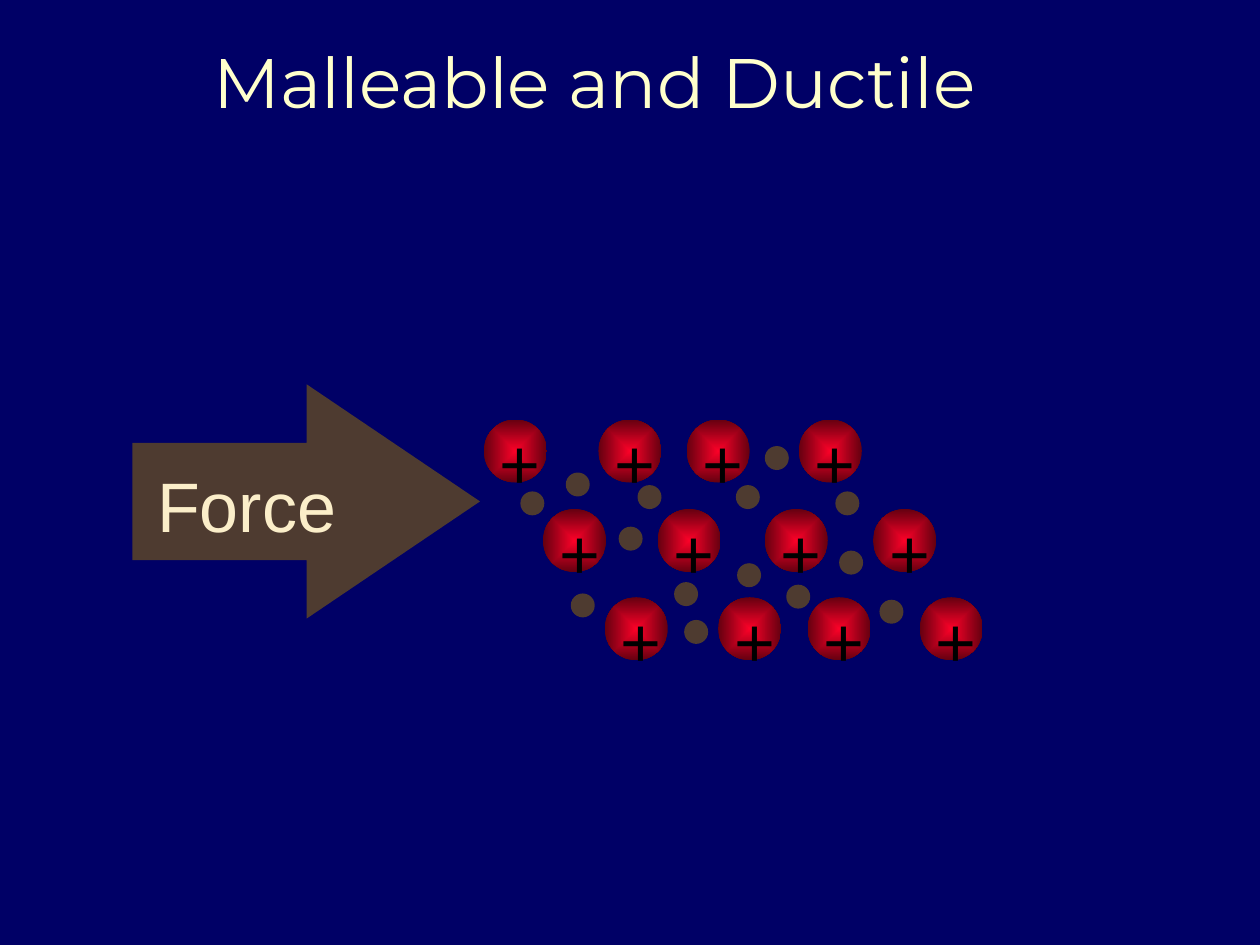
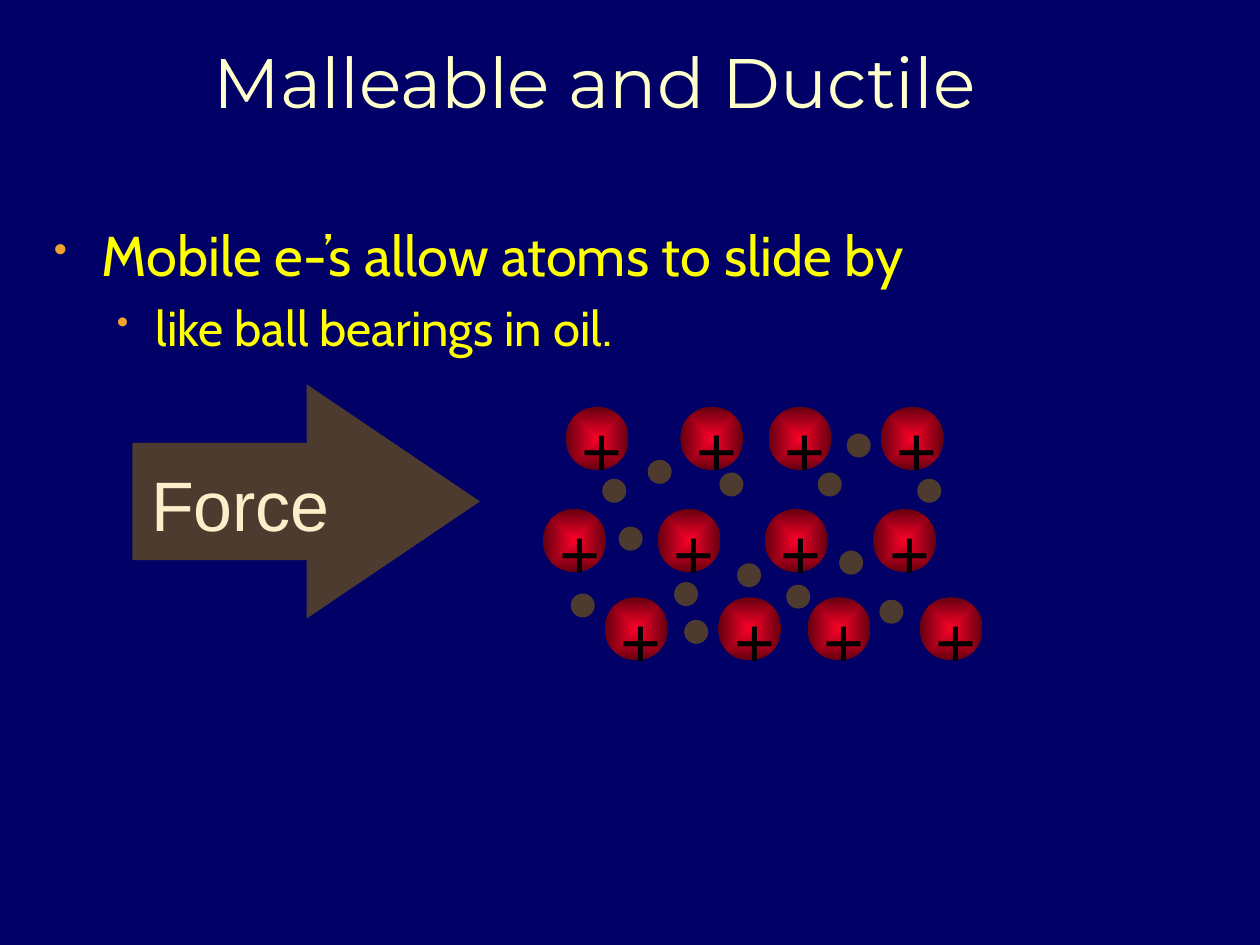
from dataclasses import dataclass

from lxml import etree
from pptx import Presentation
from pptx.dml.color import RGBColor
from pptx.enum.shapes import MSO_SHAPE as SHAPE
from pptx.enum.text import MSO_ANCHOR as ANCHOR, PP_ALIGN as ALIGN
from pptx.oxml.ns import nsdecls, qn
from pptx.util import Inches, Pt


@dataclass(frozen=True)
class Theme:
    background: str = "000066"
    title: str = "FFFFCC"
    body: str = "FFFF00"
    bullet: str = "F0A22E"
    brown: str = "4E3B30"
    force: str = "FBEEC9"
    plus: str = "000000"
    atom_core: str = "FC0128"
    atom_rim: str = "650010"
    title_font: str = "Montserrat"
    body_font: str = "Cabin"
    label_font: str = "Arial"
    large: int = 40
    body_size: int = 32
    sub_size: int = 28


THEME = Theme()

# Lattice geometry, in inches
ATOM = 0.5
ELECTRON = 0.19
SLIDE_SHIFT = (0.65, -0.1)  # how far the top layer moves when pushed

# Each layer: top of its atoms, then their left edges
TOP_ATOMS = (3.33, [3.84, 4.75, 5.45, 6.34])
LOWER_ATOMS = [(4.04, [4.31, 5.22, 6.07, 6.93]),
               (4.74, [4.8, 5.7, 6.41, 7.3])]
TOP_ELECTRONS = [(5.84, 3.85), (4.49, 3.75), (5.06, 3.85),
                 (6.63, 3.9), (6.07, 3.54), (4.13, 3.9)]
LOWER_ELECTRONS = [(4.53, 4.71), (4.91, 4.18), (5.43, 4.92), (6.98, 4.76),
                   (5.85, 4.47), (6.24, 4.64), (6.66, 4.37), (5.35, 4.62)]


def rgb(value):
    return RGBColor.from_string(value)


def box(left, top, width, height):
    return [Inches(v) for v in (left, top, width, height)]


def add_text(shapes, at, text, *, font, color, size=THEME.large,
             align=ALIGN.LEFT, anchor=ANCHOR.TOP, inset_top=0.05,
             inset_bottom=0.05):
    """Add a wrapping text box with one paragraph and return its frame."""
    tf = shapes.add_textbox(*box(*at)).text_frame
    tf.word_wrap = True
    tf.vertical_anchor = anchor
    tf.margin_top, tf.margin_bottom = Inches(inset_top), Inches(inset_bottom)
    p = tf.paragraphs[0]
    p.alignment = align
    add_run(p, text, font, color, size)
    return tf


def add_run(p, text, font, color, size):
    r = p.add_run()
    r.text = text
    r.font.name = font
    r.font.size = Pt(size)
    r.font.color.rgb = rgb(color)


def add_label(shapes, at, text, color):
    add_text(shapes, at, text, font=THEME.label_font, color=color,
             inset_top=0.1, inset_bottom=0)


def set_bullet(p, left, hanging):
    pPr = p._p.get_or_add_pPr()
    pPr.set("marL", str(Inches(left)))
    pPr.set("indent", str(-Inches(hanging)))
    color = etree.SubElement(pPr, qn("a:buClr"))
    etree.SubElement(color, qn("a:srgbClr"), val=THEME.bullet)
    etree.SubElement(pPr, qn("a:buSzPct"), val="70000")
    etree.SubElement(pPr, qn("a:buChar"), char="•")


def add_plain_shape(shapes, kind, at, color=THEME.brown):
    sp = shapes.add_shape(kind, *box(*at))
    sp.shadow.inherit = False
    sp.fill.solid()
    sp.fill.fore_color.rgb = rgb(color)
    sp.line.fill.background()
    return sp


def set_radial_fill(sp, core, rim):
    gradient = etree.fromstring(
        f'<a:gradFill {nsdecls("a")} rotWithShape="1"><a:gsLst>'
        f'<a:gs pos="0"><a:srgbClr val="{core}"/></a:gs>'
        f'<a:gs pos="100000"><a:srgbClr val="{rim}"/></a:gs></a:gsLst>'
        '<a:path path="shape"><a:fillToRect l="50000" t="50000" r="50000" '
        'b="50000"/></a:path></a:gradFill>')
    spPr = sp._element.spPr
    spPr.replace(spPr.find(qn("a:solidFill")), gradient)


def add_atom(slide, left, top):
    shapes = slide.shapes.add_group_shape().shapes
    sp = add_plain_shape(shapes, SHAPE.OVAL, (left, top, ATOM, ATOM))
    set_radial_fill(sp, THEME.atom_core, THEME.atom_rim)
    add_label(shapes, (left + 0.03, top - 0.1, 0.33, 0.77), "+", THEME.plus)


def add_lattice(slide, shift=(0, 0)):
    dx, dy = shift
    top, lefts = TOP_ATOMS
    layers = [(top + dy, [x + dx for x in lefts])] + LOWER_ATOMS
    for y, xs in layers:
        for x in xs:
            add_atom(slide, x, y)
    electrons = [(x + dx, y + dy) for x, y in TOP_ELECTRONS] + LOWER_ELECTRONS
    for x, y in electrons:
        add_plain_shape(slide.shapes, SHAPE.OVAL, (x, y, ELECTRON, ELECTRON))


def add_force(slide, label_at):
    arrow = add_plain_shape(slide.shapes, SHAPE.RIGHT_ARROW,
                            (1.05, 3.05, 2.76, 1.86))
    arrow.adjustments[0], arrow.adjustments[1] = 0.5, 0.74
    add_label(slide.shapes, label_at, "Force", THEME.force)


def add_bullets(slide):
    style = dict(font=THEME.body_font, color=THEME.body)
    tf = add_text(slide.shapes, (0.33, 1.7, 9.5, 4.95),
                  "Mobile e-’s allow atoms to slide by",
                  size=THEME.body_size, **style)
    set_bullet(tf.paragraphs[0], 0.38, 0.38)
    p = tf.add_paragraph()
    p.level = 1
    set_bullet(p, 0.81, 0.31)
    p.space_before = Pt(0.2 * THEME.sub_size)
    add_run(p, "like ball bearings in oil.", size=THEME.sub_size, **style)


def new_slide(prs, title):
    slide = prs.slides.add_slide(prs.slide_layouts[6])
    slide.background.fill.solid()
    slide.background.fill.fore_color.rgb = rgb(THEME.background)
    add_text(slide.shapes, (0.5, 0.16, 8.44, 0.86), title,
             font=THEME.title_font, color=THEME.title,
             align=ALIGN.CENTER, anchor=ANCHOR.BOTTOM)
    return slide


def main():
    prs = Presentation()
    prs.slide_width, prs.slide_height = Inches(10), Inches(7.5)
    title = "Malleable and Ductile"

    # Force applied to the lattice
    slide = new_slide(prs, title)
    add_lattice(slide)
    add_force(slide, (1.15, 3.57, 1.76, 0.77))

    # Top layer has slid along
    slide = new_slide(prs, title)
    add_bullets(slide)
    add_lattice(slide, SLIDE_SHIFT)
    add_force(slide, (1.1, 3.56, 1.99, 0.77))

    prs.save("out.pptx")


if __name__ == "__main__":
    main()
